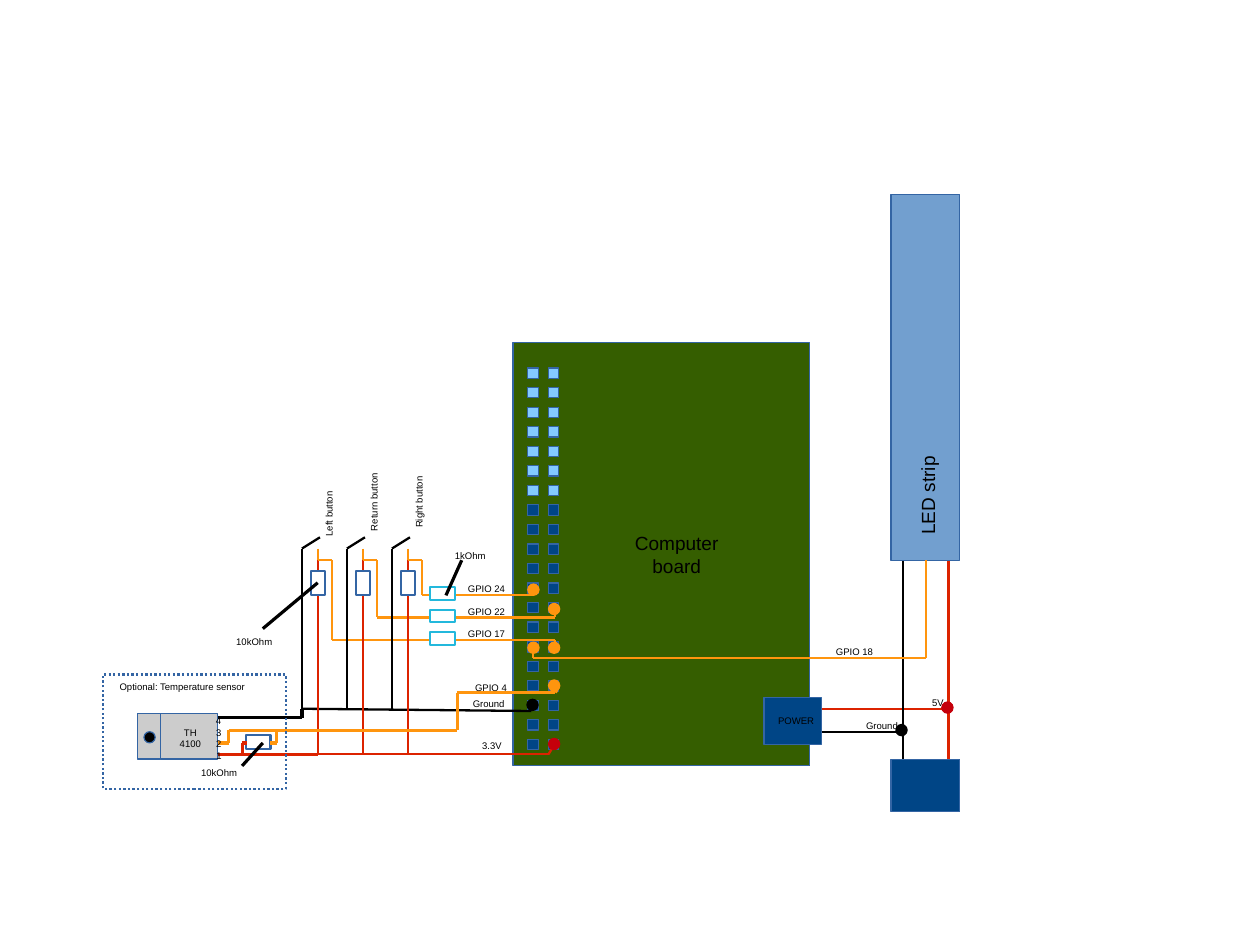
from itertools import pairwise

from pptx import Presentation
from pptx.dml.color import RGBColor
from pptx.enum import dml, shapes, text
from pptx.oxml.ns import qn
from pptx.util import Cm, Pt

BLACK, WHITE, GREY = "000000", "FFFFFF", "CCCCCC"
RED, DARK_RED, ORANGE = "DC2300", "C5000B", "FF950E"
NAVY, SKY, STRIP_BLUE = "004586", "83CAFF", "729FCF"
OUTLINE, CYAN, GREEN = "3465A4", "23B8DC", "355E00"
HAIRLINE, THICK = 0, 1.45
RECTANGLE = shapes.MSO_SHAPE.RECTANGLE
OVAL = shapes.MSO_SHAPE.OVAL


def colour(hex_string):
    return RGBColor.from_string(hex_string)


def add_block(slide, left, top, width, height, fill, outline=OUTLINE,
              weight=HAIRLINE, kind=RECTANGLE):
    shape = slide.shapes.add_shape(kind, Cm(left), Cm(top), Cm(width), Cm(height))
    shape.shadow.inherit = False
    if fill:
        shape.fill.solid()
        shape.fill.fore_color.rgb = colour(fill)
    else:
        shape.fill.background()
    shape.line.color.rgb = colour(outline)
    shape.line.width = Pt(weight)
    return shape


def add_joint(slide, left, top, fill, outline=None):
    add_block(slide, left, top, 0.25, 0.25, fill, outline or fill, kind=OVAL)


def add_wire(slide, wire_colour, weight, *points):
    for (x1, y1), (x2, y2) in pairwise(points):
        connector = slide.shapes.add_connector(
            shapes.MSO_CONNECTOR.STRAIGHT, Cm(x1), Cm(y1), Cm(x2), Cm(y2))
        connector.line.color.rgb = colour(wire_colour)
        connector.line.width = Pt(weight)
        properties = connector._element.spPr
        properties.append(properties.makeelement(qn("a:effectLst"), {}))


def add_label(slide, words, left, top, width=1.4, height=0.48, size=6, rotation=0):
    box = slide.shapes.add_textbox(Cm(left), Cm(top), Cm(width), Cm(height))
    box.rotation = rotation
    frame = box.text_frame
    frame.word_wrap = True
    frame.auto_size = text.MSO_AUTO_SIZE.SHAPE_TO_FIT_TEXT
    frame.text = words
    for paragraph in frame.paragraphs:
        paragraph.alignment = text.PP_ALIGN.CENTER
        for run in paragraph.runs:
            run.font.name = "Arial"
            run.font.size = Pt(size)
            run.font.color.rgb = colour(BLACK)


def add_board(slide):
    add_block(slide, 11.4, 7.62, 6.6, 9.4, GREEN)
    first_row, last_row, rows = 8.18, 16.43, 20
    for row in range(rows):
        top = first_row + row * (last_row - first_row) / (rows - 1)
        for left in (11.73, 12.19):
            add_block(slide, left, top, 0.23, 0.23, SKY if row < 7 else NAVY)
    add_block(slide, 16.98, 15.5, 1.27, 1.04, NAVY)
    add_label(slide, "POWER", 16.99, 15.77)
    add_label(slide, "Computer board", 13.72, 11.68, 2.64, 1.22, size=12)


def add_led_strip(slide):
    add_block(slide, 19.8, 16.87, 1.53, 1.17, NAVY)
    add_wire(slide, BLACK, THICK, (18.26, 16.26), (20.07, 16.26))
    add_wire(slide, RED, THICK, (18.26, 15.75), (21.08, 15.75))
    add_label(slide, "Ground", 18.9, 15.88)
    add_label(slide, "5V", 20.29, 15.37, 1.1, rotation=359.2)
    add_wire(slide, BLACK, THICK, (20.07, 12.45), (20.07, 16.87))
    add_wire(slide, RED, THICK, (21.08, 12.45), (21.08, 16.87))
    add_block(slide, 19.8, 4.32, 1.53, 8.13, STRIP_BLUE)
    add_label(slide, "LED strip", 19.41, 10.64, 2.39, 0.74, size=12, rotation=270)
    add_wire(slide, ORANGE, THICK,
             (11.84, 14.27), (11.84, 14.63), (20.57, 14.63), (20.57, 12.45))
    add_label(slide, "GPIO 18", 18.29, 14.22)
    add_joint(slide, 19.91, 16.1, BLACK)
    add_joint(slide, 20.93, 15.6, DARK_RED)


def add_button(slide, index, name, label_centre, gpio, wire_end):
    switch = 6.71 + index
    supply, signal = switch + 0.35, switch + 0.67
    gpio_row = 14.22 - 0.5 * index
    add_wire(slide, RED, THICK, (supply, 16.76), (supply, 12.45))
    add_wire(slide, BLACK, THICK,
             (switch, 15.75), (switch, 12.19), (switch + 0.4, 11.94))
    add_wire(slide, ORANGE, THICK, (supply, 12.19), (supply, 12.45),
             (signal, 12.45), (signal, gpio_row), (wire_end[0], gpio_row), wire_end)
    add_block(slide, switch + 0.2, 12.69, 0.31, 0.54, WHITE, OUTLINE, THICK)
    add_block(slide, 9.55, gpio_row - 0.17, 0.56, 0.28, WHITE, CYAN, THICK)
    add_label(slide, gpio, 10.11, gpio_row - 0.38)
    add_label(slide, name, switch - 0.43, label_centre - 0.24, 2.03, rotation=270)


def add_buttons(slide):
    add_wire(slide, RED, THICK, (7.06, 16.76), (12.19, 16.76), (12.34, 16.51))
    add_wire(slide, BLACK, THICK, (6.71, 15.75), (11.81, 15.8))
    add_label(slide, "Ground", 10.16, 15.39)
    add_label(slide, "3.3V", 10.38, 16.31, 1.1, rotation=359.2)
    buttons = [
        ("Left button", 11.42, "GPIO 17", (12.34, 14.48)),
        ("Return button", 11.16, "GPIO 22", (12.34, 13.61)),
        ("Right button", 11.16, "GPIO 24", (11.84, 13.22)),
    ]
    for index, button in enumerate(buttons):
        add_button(slide, index, *button)
    add_wire(slide, BLACK, HAIRLINE, (5.84, 13.97), (7.06, 12.95))
    add_label(slide, "10kOhm", 4.95, 14)
    add_wire(slide, BLACK, HAIRLINE, (9.91, 13.23), (10.26, 12.45))
    add_label(slide, "1kOhm", 9.75, 12.09)


def add_sensor(slide):
    add_wire(slide, BLACK, HAIRLINE, (4.83, 15.95), (6.71, 15.95), (6.71, 15.75))
    add_wire(slide, RED, HAIRLINE, (4.83, 16.76), (7.06, 16.76))
    add_wire(slide, ORANGE, HAIRLINE, (4.83, 16.51), (5.08, 16.51), (5.08, 16.23),
             (10.16, 16.23), (10.16, 15.39), (12.34, 15.39), (12.42, 15.24))
    add_label(slide, "GPIO 4", 10.21, 15.04)
    add_block(slide, 3.05, 15.85, 0.51, 1.02, GREY)
    add_block(slide, 3.56, 15.85, 1.27, 1.02, GREY)
    add_joint(slide, 3.2, 16.26, BLACK, OUTLINE)
    add_block(slide, 5.47, 16.34, 0.54, 0.31, WHITE, OUTLINE, THICK)
    add_wire(slide, RED, HAIRLINE, (5.38, 16.76), (5.38, 16.51), (5.49, 16.51))
    add_wire(slide, ORANGE, HAIRLINE, (5.99, 16.51), (6.15, 16.51), (6.15, 16.23))
    add_label(slide, "10kOhm", 4.17, 16.92)
    add_wire(slide, BLACK, HAIRLINE, (5.38, 17.02), (5.84, 16.51))
    add_label(slide, "4\n3\n2\n1", 4.39, 15.77, 0.94, 1.22, rotation=359.2)
    frame = add_block(slide, 2.29, 14.99, 4.06, 2.54, None, OUTLINE, THICK)
    frame.line.dash_style = dml.MSO_LINE.ROUND_DOT
    add_label(slide, "Optional: Temperature sensor", 2.26, 15.01, 3.58)
    add_label(slide, "TH\n4100", 3.53, 16.03, 1.4, 0.97)


def add_pin_joints(slide):
    for left, top, fill in [
        (11.73, 12.98, ORANGE), (12.19, 13.41, ORANGE), (11.73, 14.27, ORANGE),
        (12.19, 14.27, ORANGE), (12.19, 15.11, ORANGE), (11.71, 15.54, BLACK),
        (12.19, 16.41, DARK_RED),
    ]:
        add_joint(slide, left, top, fill)


def main():
    presentation = Presentation()
    presentation.slide_width = Cm(28)
    presentation.slide_height = Cm(21)
    slide = presentation.slides.add_slide(presentation.slide_layouts[6])
    add_board(slide)
    add_led_strip(slide)
    add_buttons(slide)
    add_sensor(slide)
    add_pin_joints(slide)
    presentation.save("out.pptx")


if __name__ == "__main__":
    main()
